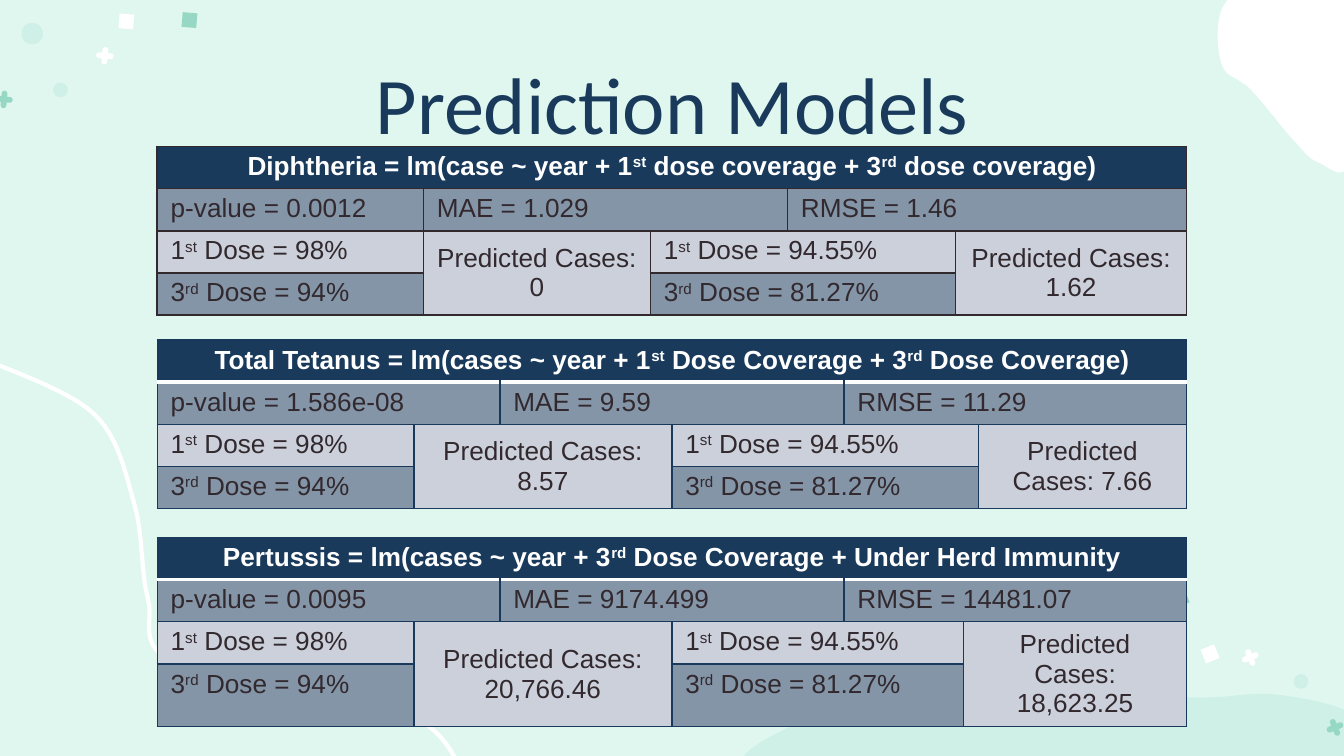
import math
from dataclasses import dataclass
from itertools import accumulate, product

from lxml import etree
from pptx import Presentation
from pptx import util as u
from pptx.dml.color import RGBColor
from pptx.enum import shapes, text
from pptx.oxml import ns

COLORS = {
    "mint": "E0F7F0", "pale": "CEF0E6", "green": "97D8C4", "white": "FFFFFF",
    "navy": "1A3A5C", "ink": "32292F", "edge": "18395C",
    "dark_cell": "8495A7", "light_cell": "CBD0DA",
}
# The page is a grid of 100 columns by 56.25 square rows; every length is in these units.
COLUMNS, ROWS = 100, 56.25
UNIT = u.Inches(10) / COLUMNS
CENTER = text.PP_ALIGN.CENTER

# Kind, offset from the middle of the cluster, size, colour
CONFETTI = [
    ("dot", 0, 0, 1.1, "pale"), ("dot", -2.1, -4.2, 1.6, "pale"),
    ("plus", 3.3, -2.55, 1.3, "white"), ("plus", -4.2, 0.7, 1.3, "green"),
    ("square", 4.9, -5.1, 1.1, "white"), ("square", 9.6, -5.2, 1.1, "green"),
]
CONFETTI_TILT = 5
# Points that each smooth outline passes through, measured from its box
WAVE = [(-1.2, 0.7), (7, 4.8), (10, 11.5), (11, 18.5), (13.2, 23.4),
        (29.8, 26.9), (34.7, 31.8), (36.2, 35.4)]
HILL = [(43.6, 7.5), (37.6, 5.7), (31.3, 5.9), (21.8, 5.1), (15.6, 0.5),
        (10.7, 6.2), (4.3, 6.7), (0, 11.8), (43.6, 11.9)]
CLOUD = [(6.3, 12.5), (3.1, 8.7), (0.9, 6.8), (1, 2.5), (4.5, 0.1),
         (10.2, 0.2), (10.7, 5), (10.4, 14.1), (8.1, 14.1)]
SCENARIOS = [("98%", "94%"), ("94.55%", "81.27%")]


@dataclass
class Box:
    left: float
    top: float
    width: float
    height: float

    def emu(self):
        return [grid(n) for n in (self.left, self.top, self.width, self.height)]


@dataclass
class Model:
    formula: str
    stats: list
    cases: list


@dataclass
class Layout:
    """Column widths, columns taken by each cell of a row, and (colour, points) lines."""
    columns: list
    stat_spans: list
    dose_spans: list
    border: tuple
    header_rule: tuple


def grid(units):
    return u.Emu(round(units * UNIT))


def rgb(name):
    return RGBColor.from_string(COLORS[name])


def paint(shape, color):
    shape.shadow.inherit = False
    shape.fill.solid()
    shape.fill.fore_color.rgb = rgb(color)
    shape.line.fill.background()


def write(frame, words, size=14, font="Arial", color="ink", bold=False, align=None):
    """Write words into a frame; parts between ^ marks are superscript."""
    frame.word_wrap = True
    for index, line in enumerate(words.split("\n")):
        para = frame.add_paragraph() if index else frame.paragraphs[0]
        para.alignment = align
        for part, piece in enumerate(line.split("^")):
            span = para.add_run()
            span.text = piece
            span.font.size, span.font.name, span.font.bold = u.Pt(size), font, bold
            span.font.color.rgb = rgb(color)
            if part % 2:
                span._r.get_or_add_rPr().set("baseline", "30000")


def add_piece(page, kind, x, y, width, height, turn, color):
    """Add a small preset shape centred on x, y."""
    box = Box(x - width / 2, y - height / 2, width, height)
    piece = page.shapes.add_shape(kind, *box.emu())
    piece.rotation = turn
    paint(piece, color)
    return piece


def add_confetti(page, x, y, turn):
    """Add the cluster of dots, squares and pluses, turned about x, y."""
    cos, sin = math.cos(math.radians(turn)), math.sin(math.radians(turn))
    tilt = turn + CONFETTI_TILT
    for kind, dx, dy, size, color in CONFETTI:
        center = x + dx * cos - dy * sin, y + dx * sin + dy * cos
        if kind == "plus":
            for angle in (tilt, tilt + 90):
                bar = add_piece(page, shapes.MSO_SHAPE.ROUNDED_RECTANGLE, *center,
                                size, size / 3, angle, color)
                bar.adjustments[0] = 0.5
        else:
            preset = shapes.MSO_SHAPE.OVAL if kind == "dot" else shapes.MSO_SHAPE.RECTANGLE
            add_piece(page, preset, *center, size, size, tilt, color)


def smooth(points, closed, steps=12):
    """Return a fine Catmull-Rom polyline that passes through the points."""
    if closed:
        padded = [points[-1], *points, *points[:2]]
    else:
        padded = [points[0], *points, points[-1]]
    line = [points[0]]
    for a, b, c, d in zip(padded, padded[1:], padded[2:], padded[3:]):
        for step in range(1, steps + 1):
            t = step / steps
            line.append(tuple(
                q + t / 2 * (r - p + t * (2 * p - 5 * q + 4 * r - s
                                          + t * (3 * (q - r) + s - p)))
                for p, q, r, s in zip(a, b, c, d)))
    return line


def add_outline(page, left, top, points, color, closed=True):
    start, *rest = [(grid(left + x), grid(top + y)) for x, y in smooth(points, closed)]
    builder = page.shapes.build_freeform(*start)
    builder.add_line_segments(rest, close=closed)
    outline = builder.convert_to_shape()
    paint(outline, color)
    if not closed:
        outline.fill.background()
        outline.line.color.rgb = rgb(color)
        outline.line.width = u.Pt(2.25)


def add_backdrop(page):
    page.background.fill.solid()
    page.background.fill.fore_color.rgb = rgb("mint")
    add_confetti(page, 4.5, 6.7, turn=0)
    add_outline(page, 0, 26, WAVE, "white", closed=False)
    add_outline(page, 57.5, 46, HILL, "pale")
    add_confetti(page, 96.8, 50.7, turn=-117)
    add_outline(page, 90, -2, CLOUD, "white")


def add_title(page, box, words):
    frame = page.shapes.add_textbox(*box.emu()).text_frame
    frame.margin_left = frame.margin_right = frame.margin_top = frame.margin_bottom = 0
    frame.vertical_anchor = text.MSO_ANCHOR.BOTTOM
    write(frame, words, size=43, font="Calibri", color="navy", align=CENTER)


def set_border(cell, side, color, points):
    line = etree.SubElement(cell._tc.get_or_add_tcPr(), ns.qn(f"a:ln{side}"),
                            w=str(u.Pt(points)))
    fill = etree.SubElement(line, ns.qn("a:solidFill"))
    etree.SubElement(fill, ns.qn("a:srgbClr"), val=COLORS[color])


def fill_cell(table, row, column, words, fill, across=1, down=1, **style):
    cell = table.cell(row, column)
    if across * down > 1:
        cell.merge(table.cell(row + down - 1, column + across - 1))
    cell.fill.solid()
    cell.fill.fore_color.rgb = rgb(fill)
    cell.margin_top = cell.margin_bottom = grid(0.4)
    if down > 1:
        cell.vertical_anchor = text.MSO_ANCHOR.MIDDLE
    write(cell.text_frame, words, **style)


def add_model_table(page, box, layout, model, row_heights=(3, 3, 3, 3)):
    """Add a formula header, a row of statistics and two dose scenarios."""
    count = len(layout.columns)
    table = page.shapes.add_table(len(row_heights), count, *box.emu()).table
    for column, width in zip(table.columns, layout.columns):
        column.width = grid(width)
    for row, height in zip(table.rows, row_heights):
        row.height = grid(height)
    for row, column, side in product(range(len(row_heights)), range(count), "LRTB"):
        under_header = (row, side) in ((0, "B"), (1, "T"))
        set_border(table.cell(row, column), side,
                   *(layout.header_rule if under_header else layout.border))

    fill_cell(table, 0, 0, model.formula, "navy", across=count,
              color="white", bold=True, align=CENTER)
    stat_starts = accumulate(layout.stat_spans, initial=0)
    for start, span, stat in zip(stat_starts, layout.stat_spans, model.stats):
        fill_cell(table, 1, start, stat, "dark_cell", across=span)

    spans = layout.dose_spans
    starts = list(accumulate(spans, initial=0))
    for index, ((first, third), cases) in enumerate(zip(SCENARIOS, model.cases)):
        dose, result = 2 * index, 2 * index + 1
        fill_cell(table, 2, starts[dose], f"1^st^ Dose = {first}", "light_cell",
                  across=spans[dose])
        fill_cell(table, 3, starts[dose], f"3^rd^ Dose = {third}", "dark_cell",
                  across=spans[dose])
        fill_cell(table, 2, starts[result], f"Predicted Cases:{cases}", "light_cell",
                  across=spans[result], down=2, align=CENTER)


def main():
    diphtheria = Model(
        "Diphtheria = lm(case ~ year + 1^st^ dose coverage + 3^rd^ dose coverage)",
        ["p-value = 0.0012", "MAE = 1.029", "RMSE = 1.46"], [" 0", " 1.62"])
    tetanus = Model(
        "Total Tetanus = lm(cases ~ year + 1^st^ Dose Coverage + 3^rd^ Dose Coverage)",
        ["p-value = 1.586e-08", "MAE = 9.59", "RMSE = 11.29"], [" 8.57", " 7.66"])
    pertussis = Model(
        "Pertussis = lm(cases ~ year + 3^rd^ Dose Coverage + Under Herd Immunity",
        ["p-value = 0.0095", "MAE = 9174.499", "RMSE = 14481.07"],
        ["\n20,766.46", " 18,623.25"])
    five_columns = Layout([19.8, 16.9, 10.2, 12.5, 17.2], [1, 2, 2], [1, 1, 2, 1],
                          border=("ink", 1), header_rule=("ink", 1))

    def six_columns(*last_two):
        return Layout([19.1, 6.4, 12.8, 12.8, *last_two], [2, 2, 2], [1, 2, 2, 1],
                      border=("edge", 0.75), header_rule=("white", 2))

    deck = Presentation()
    deck.slide_width, deck.slide_height = grid(COLUMNS), grid(ROWS)
    page = deck.slides.add_slide(deck.slide_layouts[6])
    add_backdrop(page)
    add_title(page, Box(7.8, 4.9, 84.4, 6.3), "Prediction Models")
    add_model_table(page, Box(11.7, 10.9, 76.6, 12), five_columns, diphtheria)
    add_model_table(page, Box(11.7, 25.3, 76.6, 12), six_columns(10, 15.5), tetanus)
    add_model_table(page, Box(11.7, 40, 76.6, 13.2), six_columns(8.9, 16.6), pertussis,
                    row_heights=(3, 3, 3, 4.2))
    deck.save("out.pptx")


if __name__ == "__main__":
    main()
